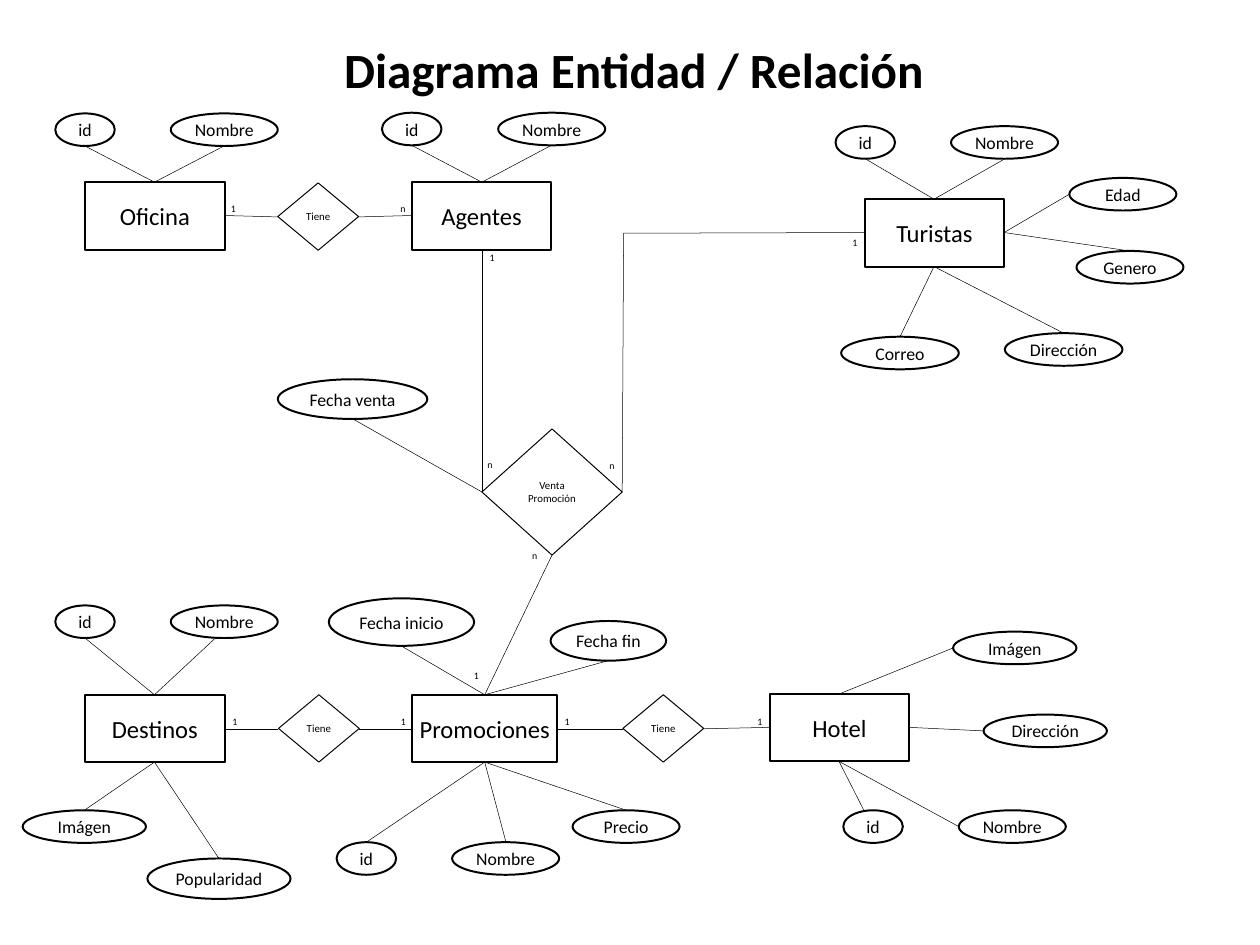
from lxml import etree
from pptx import Presentation
from pptx import util as u
from pptx.dml.color import RGBColor
from pptx.enum import shapes, text
from pptx.oxml import ns

PX = u.Inches(1) // 100
BLACK = RGBColor(0, 0, 0)
FONT = "Calibri"

# Points of attachment as fractions of width and height
SIDES = {
    "top": (0.5, 0), "bottom": (0.5, 1), "left": (0, 0.5), "right": (1, 0.5),
    "top-left": (0.34, 0), "bottom-left": (0.42, 1),
}

# Entity: box
ENTITIES = {
    "Oficina": (120, 257, 197, 95),
    "Agentes": (581, 257, 197, 95),
    "Turistas": (1220, 281, 197, 95),
    "Destinos": (120, 980, 197, 95),
    "Promociones": (582, 980, 204, 95),
    "Hotel": (1086, 979, 197, 95),
}

# Entity: (attribute, box, side of the attribute, side of the entity)
ATTRIBUTES = {
    "Oficina": [
        ("id", (78, 160, 84, 46), "bottom", "top"),
        ("Nombre", (241, 160, 151, 46), "bottom", "top"),
    ],
    "Agentes": [
        ("id", (539, 159, 84, 46), "bottom", "top"),
        ("Nombre", (703, 159, 151, 46), "bottom", "top"),
    ],
    "Turistas": [
        ("id", (1179, 178, 84, 46), "bottom", "top"),
        ("Nombre", (1342, 178, 151, 46), "bottom", "top"),
        ("Edad", (1509, 251, 151, 46), "left", "right"),
        ("Genero", (1519, 354, 151, 46), "top", "right"),
        ("Dirección", (1418, 470, 166, 46), "top", "bottom"),
        ("Correo", (1187, 475, 166, 46), "top", "bottom"),
    ],
    "Destinos": [
        ("id", (78, 854, 84, 46), "bottom", "top"),
        ("Nombre", (241, 854, 151, 46), "bottom-left", "top"),
        ("Imágen", (32, 1143, 174, 46), "top", "bottom"),
        ("Popularidad", (208, 1211, 202, 57), "top", "bottom"),
    ],
    "Promociones": [
        ("Fecha inicio", (464, 844, 205, 67), "bottom", "top"),
        ("Fecha fin", (777, 876, 163, 56), "bottom", "top"),
        ("id", (475, 1188, 84, 46), "top", "bottom"),
        ("Nombre", (638, 1188, 151, 46), "top", "bottom"),
        ("Precio", (808, 1143, 151, 46), "top", "bottom"),
    ],
    "Hotel": [
        ("Imágen", (1345, 891, 174, 46), "left", "top"),
        ("Dirección", (1388, 1008, 174, 46), "left", "right"),
        ("id", (1190, 1143, 84, 46), "top-left", "bottom"),
        ("Nombre", (1353, 1143, 151, 46), "left", "bottom"),
    ],
}

# (box, entity on the left, entity on the right)
TIENE = [
    ((392, 258, 114, 95), "Oficina", "Agentes"),
    ((393, 980, 114, 95), "Destinos", "Promociones"),
    ((879, 980, 114, 95), "Promociones", "Hotel"),
]
VENTA_BOX = (680, 605, 198, 178)
FECHA_VENTA_BOX = (392, 535, 211, 56)
TURISTAS_CORNER = (880, 329)

CARDINALITIES = [
    ("1", 316, 281), ("n", 555, 281),
    ("1", 318, 1004), ("1", 556, 1004), ("1", 787, 1004), ("1", 1059, 1004),
    ("1", 681, 350), ("1", 1193, 329), ("n", 678, 642), ("n", 850, 643),
    ("n", 741, 771), ("1", 659, 939),
]


def emu(*lengths):
    return [length * PX for length in lengths]


def set_font(p, size):
    p.font.name = FONT
    p.font.size = u.Pt(size)
    p.font.color.rgb = BLACK


def add_node(s, kind, box, label, size, weight):
    """Draw an outlined shape with a centred label."""
    sp = s.shapes.add_shape(kind, *emu(*box))
    sp.shadow.inherit = False
    sp.fill.background()
    sp.line.color.rgb = BLACK
    sp.line.width = u.Pt(weight)
    tf = sp.text_frame
    tf.word_wrap = True
    tf.margin_left = tf.margin_right = 0
    tf.vertical_anchor = text.MSO_ANCHOR.MIDDLE
    p = tf.paragraphs[0]
    p.text = label
    p.alignment = text.PP_ALIGN.CENTER
    set_font(p, size)


def add_entity(s, name):
    add_node(s, shapes.MSO_SHAPE.RECTANGLE, ENTITIES[name], name, 25, 2)


def add_attribute(s, name, box):
    add_node(s, shapes.MSO_SHAPE.OVAL, box, name, 18, 2)


def add_relation(s, name, box):
    add_node(s, shapes.MSO_SHAPE.DIAMOND, box, name, 11, 1)


def point(box, side):
    x, y, w, h = box
    fx, fy = SIDES[side]
    return round(x + w * fx), round(y + h * fy)


def add_link(s, start, end):
    line = s.shapes.add_connector(shapes.MSO_CONNECTOR.STRAIGHT, *emu(*start, *end))
    line.line.color.rgb = BLACK
    line.line.width = u.Pt(0.5)
    etree.SubElement(line._element.spPr, ns.qn("a:effectLst"))


def add_cardinality(s, label, x, y):
    tf = s.shapes.add_textbox(*emu(x, y, 26, 27)).text_frame
    tf.word_wrap = True
    p = tf.paragraphs[0]
    p.text = label
    set_font(p, 10)


def add_title(s, title):
    sp = s.shapes.title
    sp.left, sp.top, sp.width, sp.height = emu(265, 60, 1260, 85)
    tf = sp.text_frame
    tf.vertical_anchor = text.MSO_ANCHOR.BOTTOM
    p = tf.paragraphs[0]
    p.text = title
    p.alignment = text.PP_ALIGN.CENTER
    p.line_spacing = 0.9
    set_font(p, 50)
    p.font.bold = True


def add_sale(s):
    """Draw the sale relation with its attribute and its three entities."""
    add_relation(s, "Venta Promoción", VENTA_BOX)
    add_attribute(s, "Fecha venta", FECHA_VENTA_BOX)
    left, right = point(VENTA_BOX, "left"), point(VENTA_BOX, "right")
    add_link(s, point(FECHA_VENTA_BOX, "bottom"), left)
    add_link(s, point(ENTITIES["Agentes"], "bottom"), left)
    add_link(s, right, TURISTAS_CORNER)
    add_link(s, TURISTAS_CORNER, point(ENTITIES["Turistas"], "left"))
    add_link(s, point(VENTA_BOX, "bottom"), point(ENTITIES["Promociones"], "top"))


def main():
    prs = Presentation()
    prs.slide_width, prs.slide_height = emu(1778, 1333)
    s = prs.slides.add_slide(prs.slide_layouts[0])
    subtitle = s.placeholders[1]._element
    subtitle.getparent().remove(subtitle)
    add_title(s, "Diagrama Entidad / Relación")

    for entity, attributes in ATTRIBUTES.items():
        add_entity(s, entity)
        for name, box, side, entity_side in attributes:
            add_attribute(s, name, box)
            add_link(s, point(box, side), point(ENTITIES[entity], entity_side))
    for box, before, after in TIENE:
        add_relation(s, "Tiene", box)
        add_link(s, point(ENTITIES[before], "right"), point(box, "left"))
        add_link(s, point(box, "right"), point(ENTITIES[after], "left"))
    add_sale(s)
    for label, x, y in CARDINALITIES:
        add_cardinality(s, label, x, y)
    prs.save("out.pptx")


if __name__ == "__main__":
    main()
